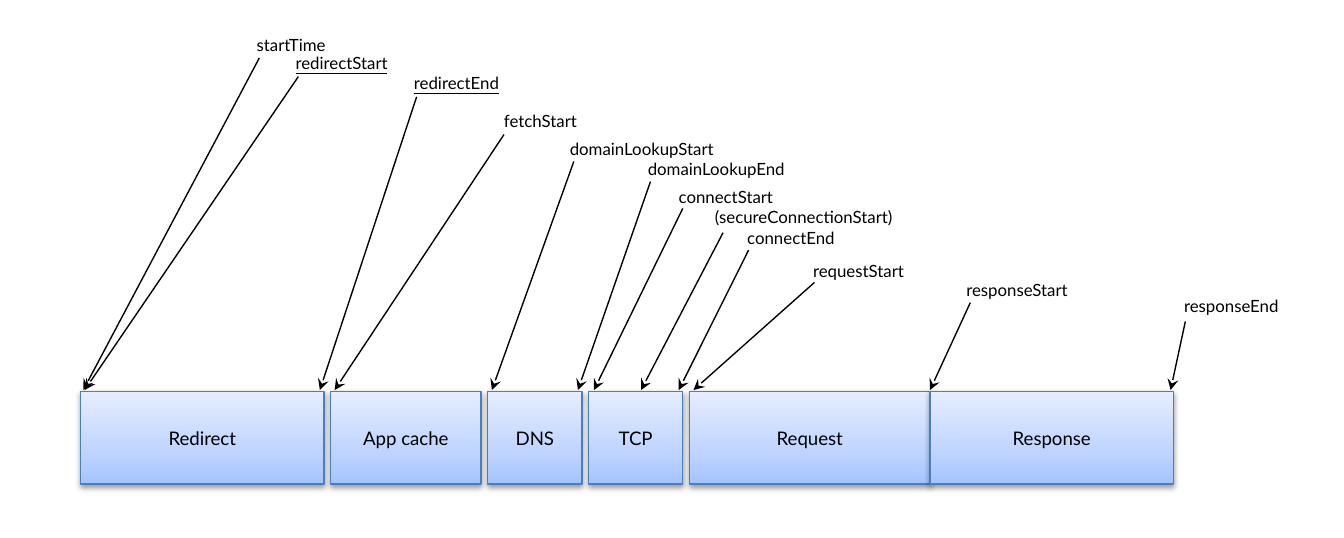
import pptx
import pptx.dml.color
import pptx.enum.shapes
import pptx.enum.text
import pptx.oxml
import pptx.oxml.ns
import pptx.util

Inches = pptx.util.Inches
Pt = pptx.util.Pt
RGBColor = pptx.dml.color.RGBColor

# Content: phase name, width, gap to the next phase
PHASES = [
    ("Redirect", 1.81, 0.05),
    ("App cache", 1.12, 0.05),
    ("DNS", 0.7, 0.05),
    ("TCP", 0.7, 0.05),
    ("Request", 1.79, 0),
    ("Response", 1.81, 0),
]
# Event name, label left and top, arrow start, x of the arrow tip
EVENTS = [
    ("startTime", (1.87, 0.22), (1.93, 0.43), 0.62),
    ("redirectStart", (2.16, 0.35), (2.22, 0.57), 0.63),
    ("redirectEnd", (3.04, 0.5), (3.1, 0.72), 2.38),
    ("fetchStart", (3.71, 0.78), (3.75, 1), 2.49),
    ("domainLookupStart", (4.2, 0.99), (4.27, 1.2), 3.66),
    ("domainLookupEnd", (4.78, 1.14), (4.84, 1.35), 4.3),
    ("connectStart", (5.01, 1.35), (5.08, 1.55), 4.42),
    ("(secureConnectionStart)", (5.28, 1.5), (5.38, 1.73), 4.77),
    ("connectEnd", (5.52, 1.65), (5.57, 1.86), 5.05),
    ("requestStart", (6.01, 1.9), (6.06, 2.1), 5.16),
    ("responseStart", (7.15, 2.04), (7.22, 2.25), 6.92),
    ("responseEnd", (8.77, 2.16), (8.82, 2.39), 8.71),
]
UNDERLINED = {"redirectStart", "redirectEnd"}

FONT = "Lato"
BLACK = RGBColor(0x00, 0x00, 0x00)
BORDER = RGBColor(0x4B, 0x7E, 0xBC)
GRADIENT = [
    (0, RGBColor(0xA4, 0xC4, 0xFF)),
    (35, RGBColor(0xBF, 0xD4, 0xFF)),
    (100, RGBColor(0xE6, 0xEE, 0xFF)),
]
SLIDE_WIDTH, SLIDE_HEIGHT = 10, 4
PHASE_LEFT, PHASE_TOP, PHASE_HEIGHT = 0.6, 2.91, 0.69
LABEL_WIDTH, LABEL_HEIGHT = 2.24, 0.28
TIP_Y = 2.9
INSET = 0.04
NAMESPACE = pptx.oxml.ns.nsdecls("a")


def write_text(shape, text, size, alignment, anchor):
    frame = shape.text_frame
    frame.word_wrap = True
    frame.vertical_anchor = anchor
    frame.margin_left = frame.margin_right = Inches(INSET)
    frame.margin_top = frame.margin_bottom = Inches(INSET)
    para = frame.paragraphs[0]
    para.alignment = alignment
    span = para.add_run()
    span.text = text
    span.font.name = FONT
    span.font.size = Pt(size)
    span.font.color.rgb = BLACK
    return span


def fill_gradient(shape):
    shape.fill.gradient()
    shape.fill.gradient_angle = 90
    stops = shape.fill._fill._gradFill.find(pptx.oxml.ns.qn("a:gsLst"))
    for stop in list(stops):
        stops.remove(stop)
    for position, color in GRADIENT:
        stops.append(pptx.oxml.parse_xml(
            f'<a:gs {NAMESPACE} pos="{position * 1000}"><a:srgbClr val="{color}"/></a:gs>'))


def add_shadow(shape):
    shape.shadow.inherit = False
    effects = shape._element.spPr.find(pptx.oxml.ns.qn("a:effectLst"))
    effects.append(pptx.oxml.parse_xml(
        f'<a:outerShdw {NAMESPACE} blurRad="{Pt(3.1)}" dist="{Pt(1.6)}" dir="5400000" '
        'rotWithShape="0"><a:srgbClr val="000000"><a:alpha val="38000"/></a:srgbClr>'
        '</a:outerShdw>'))


def add_phase(page, name, left, width):
    box = page.shapes.add_shape(
        pptx.enum.shapes.MSO_SHAPE.RECTANGLE,
        Inches(left), Inches(PHASE_TOP), Inches(width), Inches(PHASE_HEIGHT))
    fill_gradient(box)
    box.line.color.rgb = BORDER
    box.line.width = Pt(0.75)
    add_shadow(box)
    write_text(box, name, 10, pptx.enum.text.PP_ALIGN.CENTER,
               pptx.enum.text.MSO_ANCHOR.MIDDLE)


def add_label(page, name, left, top):
    width = min(LABEL_WIDTH, SLIDE_WIDTH - left)
    label = page.shapes.add_textbox(
        Inches(left), Inches(top), Inches(width), Inches(LABEL_HEIGHT))
    span = write_text(label, name, 9, pptx.enum.text.PP_ALIGN.LEFT,
                      pptx.enum.text.MSO_ANCHOR.TOP)
    if name in UNDERLINED:
        span.font.underline = True


def add_arrow(page, start, tip_x):
    arrow = page.shapes.add_connector(
        pptx.enum.shapes.MSO_CONNECTOR.STRAIGHT,
        Inches(start[0]), Inches(start[1]), Inches(tip_x), Inches(TIP_Y))
    arrow.line.color.rgb = BLACK
    arrow.line.width = Pt(0.75)
    arrow.line._get_or_add_ln().append(
        pptx.oxml.parse_xml(f'<a:tailEnd {NAMESPACE} type="stealth"/>'))
    arrow._element.spPr.append(pptx.oxml.parse_xml(f'<a:effectLst {NAMESPACE}/>'))


deck = pptx.Presentation()
deck.slide_width = Inches(SLIDE_WIDTH)
deck.slide_height = Inches(SLIDE_HEIGHT)
page = deck.slides.add_slide(deck.slide_layouts[6])

# Row of phases
left = PHASE_LEFT
for name, width, gap in PHASES:
    add_phase(page, name, left, width)
    left += width + gap

# Events with arrows down to the phases
for name, corner, start, tip_x in EVENTS:
    add_label(page, name, *corner)
    add_arrow(page, start, tip_x)

deck.save("out.pptx")
